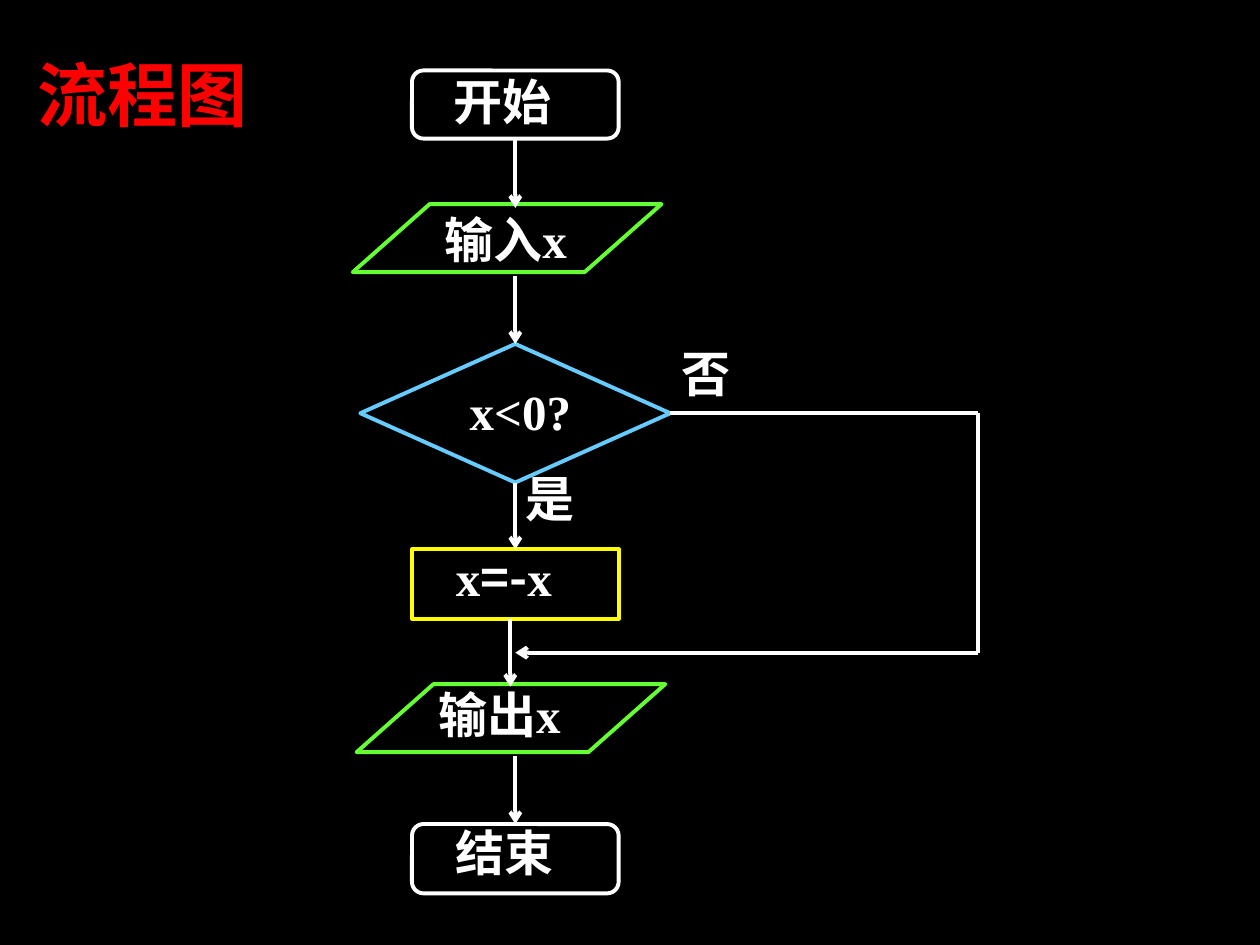
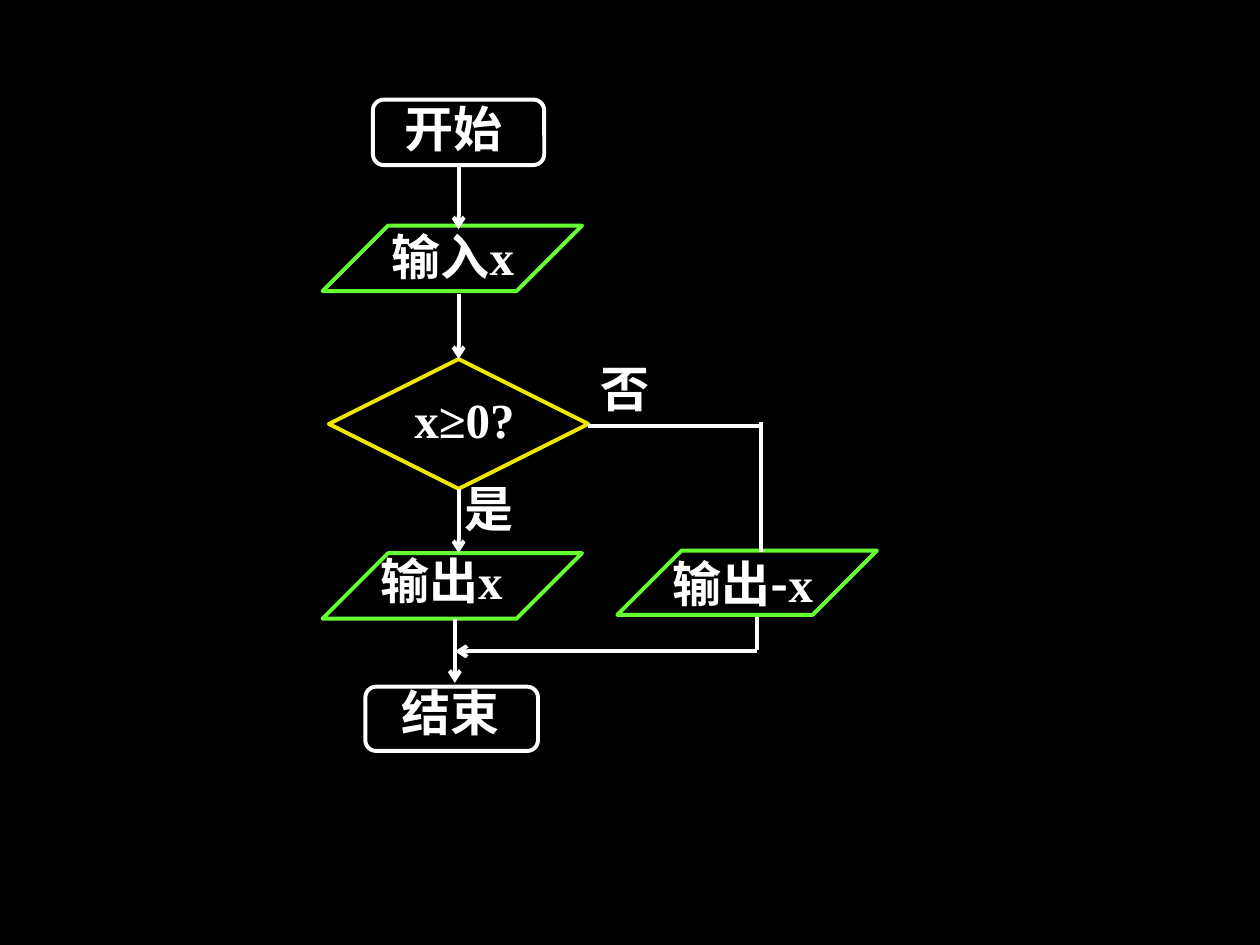
from itertools import groupby

from lxml import etree
from pptx import Presentation
from pptx.dml.color import RGBColor
from pptx.enum.shapes import MSO_CONNECTOR, MSO_SHAPE
from pptx.enum.text import MSO_ANCHOR, MSO_AUTO_SIZE, PP_ALIGN
from pptx.oxml.ns import qn
from pptx.util import Inches, Pt

TERMINAL = MSO_SHAPE.ROUNDED_RECTANGLE
DATA = MSO_SHAPE.PARALLELOGRAM
DECISION = MSO_SHAPE.DIAMOND
PROCESS = MSO_SHAPE.RECTANGLE
STRAIGHT = MSO_CONNECTOR.STRAIGHT
LEFT, JUSTIFY = PP_ALIGN.LEFT, PP_ALIGN.JUSTIFY
TOP_ANCHOR, NO_FIT = MSO_ANCHOR.TOP, MSO_AUTO_SIZE.NONE
TOP, BOTTOM, RIGHT = 0, 2, 3

BLACK, WHITE, RED = "000000", "FFFFFF", "FF0000"
GREEN, BLUE, YELLOW, GOLD = "66FF33", "66CCFF", "FFFF00", "F0E500"
CJK_FONT = "Noto Sans CJK SC"
LABEL = {"size": Pt(28), "name": "Times New Roman", "bold": True}
TITLE = {"size": Pt(40), "name": "Arial", "bold": True}
FRAME = {
    "word_wrap": True, "auto_size": NO_FIT, "vertical_anchor": TOP_ANCHOR,
    "margin_left": Inches(0.1), "margin_right": Inches(0.1),
    "margin_top": Inches(0.05), "margin_bottom": Inches(0.05),
}


def rgb(value):
    return RGBColor.from_string(value)


def assign(target, values):
    for name, value in values.items():
        setattr(target, name, value)


class Flowchart:
    def __init__(self, presentation):
        self.presentation = presentation
        self.slide = None
        background = presentation.slide_master.background.fill
        background.solid()
        background.fore_color.rgb = rgb(BLACK)

    def add_slide(self, title=None, box=None):
        layout = self.presentation.slide_layouts[5 if title else 6]
        self.slide = self.presentation.slides.add_slide(layout)
        if title:
            heading = self.slide.shapes.title
            sides = ("left", "top", "width", "height")
            assign(heading, dict(zip(sides, map(Inches, box))))
            self.put_text(heading, title, TITLE, RED, LEFT)

    def put_text(self, holder, text, style, color, alignment):
        assign(holder.text_frame, FRAME)
        paragraph = holder.text_frame.paragraphs[0]
        paragraph.alignment = alignment
        for is_operator, letters in groupby(text, lambda letter: letter in "=-"):
            run = paragraph.add_run()
            run.text = "".join(letters)
            assign(run.font, style)
            run.font.color.rgb = rgb(color)
            if is_operator:
                run.font.name = CJK_FONT
            east_asian = etree.SubElement(run.font._element, qn("a:ea"))
            east_asian.set("typeface", CJK_FONT)

    def label(self, text, *box):
        holder = self.slide.shapes.add_textbox(*map(Inches, box))
        self.put_text(holder, text, LABEL, WHITE, JUSTIFY)

    def outline(self, line, color):
        line.color.rgb = rgb(color)
        line.width = Pt(2.25)

    def node(self, kind, color, box, text, text_box, adjustment=None):
        step = self.slide.shapes.add_shape(kind, *map(Inches, box))
        step.shadow.inherit = False
        step.fill.background()
        self.outline(step.line, color)
        if adjustment is not None:
            step.adjustments[0] = adjustment
        self.label(text, *text_box)
        return step

    def flow(self, start, end, arrow=True, source=None, target=None):
        link = self.slide.shapes.add_connector(STRAIGHT, *map(Inches, start + end))
        self.outline(link.line, WHITE)
        properties = link._element.spPr
        if arrow:
            etree.SubElement(properties.find(qn("a:ln")), qn("a:tailEnd"), type="arrow")
        etree.SubElement(properties, qn("a:effectLst"))
        if source:
            link.begin_connect(*source)
        if target:
            link.end_connect(*target)


def build_negation(chart):
    chart.add_slide("流程图", (0.2, 0.36, 2.05, 0.77))
    axis = 4.09
    check = chart.node(DECISION, BLUE, (2.86, 2.73, 2.46, 1.1),
                       "x<0?", (3.63, 2.98, 1.26, 0.52))
    begin = chart.node(TERMINAL, WHITE, (3.27, 0.56, 1.64, 0.54),
                       "开始", (3.5, 0.52, 1.34, 0.55))
    finish = chart.node(TERMINAL, WHITE, (3.27, 6.54, 1.64, 0.55),
                        "结束", (3.52, 6.48, 1.4, 0.46))
    chart.node(DATA, GREEN, (2.8, 1.62, 2.45, 0.54),
               "输入x", (3.43, 1.61, 1.61, 0.51), 1.13)
    negate = chart.node(PROCESS, YELLOW, (3.27, 4.36, 1.64, 0.55),
                        "x=-x", (3.52, 4.3, 1.26, 0.7))
    chart.node(DATA, GREEN, (2.83, 5.43, 2.45, 0.54),
               "输出x", (3.38, 5.38, 1.49, 0.56), 1.13)
    chart.label("是", 4.07, 3.67, 0.84, 0.57)
    chart.label("否", 5.31, 2.68, 0.79, 0.6)

    chart.flow((axis, 1.1), (axis, 1.65), source=(begin, BOTTOM))
    chart.flow((axis, 2.19), (axis, 2.73), target=(check, TOP))
    chart.flow((axis, 3.83), (axis, 4.36), source=(check, BOTTOM), target=(negate, TOP))
    chart.flow((4.05, 4.91), (4.05, 5.45))
    chart.flow((axis, 6), (axis, 6.54), target=(finish, TOP))
    bypass, merge = 7.76, 5.18
    chart.flow((5.32, 3.28), (bypass, 3.28), arrow=False, source=(check, RIGHT))
    chart.flow((bypass, 3.28), (bypass, merge), arrow=False)
    chart.flow((bypass, merge), (axis, merge))


def build_two_outputs(chart):
    chart.add_slide()
    axis = 3.64
    check = chart.node(DECISION, GOLD, (2.61, 2.85, 2.06, 1.03),
                       "x≥0?", (3.19, 3.04, 1.33, 0.49))
    begin = chart.node(TERMINAL, WHITE, (2.96, 0.79, 1.36, 0.52),
                       "开始", (3.11, 0.73, 1.25, 0.55))
    chart.node(TERMINAL, WHITE, (2.9, 5.45, 1.37, 0.51),
               "结束", (3.09, 5.37, 1.15, 0.54))
    for box, text, text_box in (
        ((2.56, 1.79, 2.06, 0.52), "输入x", (3.01, 1.75, 1.48, 0.49)),
        ((2.56, 4.39, 2.06, 0.52), "输出x", (2.92, 4.32, 1.48, 0.49)),
        ((4.9, 4.37, 2.06, 0.51), "输出-x", (5.24, 4.34, 1.66, 0.59)),
    ):
        chart.node(DATA, GREEN, box, text, text_box, 1)
    chart.label("是", 3.59, 3.75, 0.77, 0.5)
    chart.label("否", 4.67, 2.8, 0.8, 0.56)

    chart.flow((axis, 1.31), (axis, 1.82), source=(begin, BOTTOM))
    chart.flow((axis, 2.33), (axis, 2.85), target=(check, TOP))
    chart.flow((axis, 3.88), (axis, 4.39), source=(check, BOTTOM))
    chart.flow((3.61, 4.91), (3.61, 5.42))
    chart.flow((4.67, 3.38), (6.04, 3.38), arrow=False)
    chart.flow((6.04, 3.35), (6.04, 4.38), arrow=False)
    chart.flow((6.01, 4.9), (6.01, 5.16), arrow=False)
    chart.flow((6.01, 5.17), (3.61, 5.17))


def main():
    presentation = Presentation()
    presentation.slide_width = Inches(10)
    presentation.slide_height = Inches(7.5)
    chart = Flowchart(presentation)
    build_negation(chart)
    build_two_outputs(chart)
    presentation.save("out.pptx")


if __name__ == "__main__":
    main()
